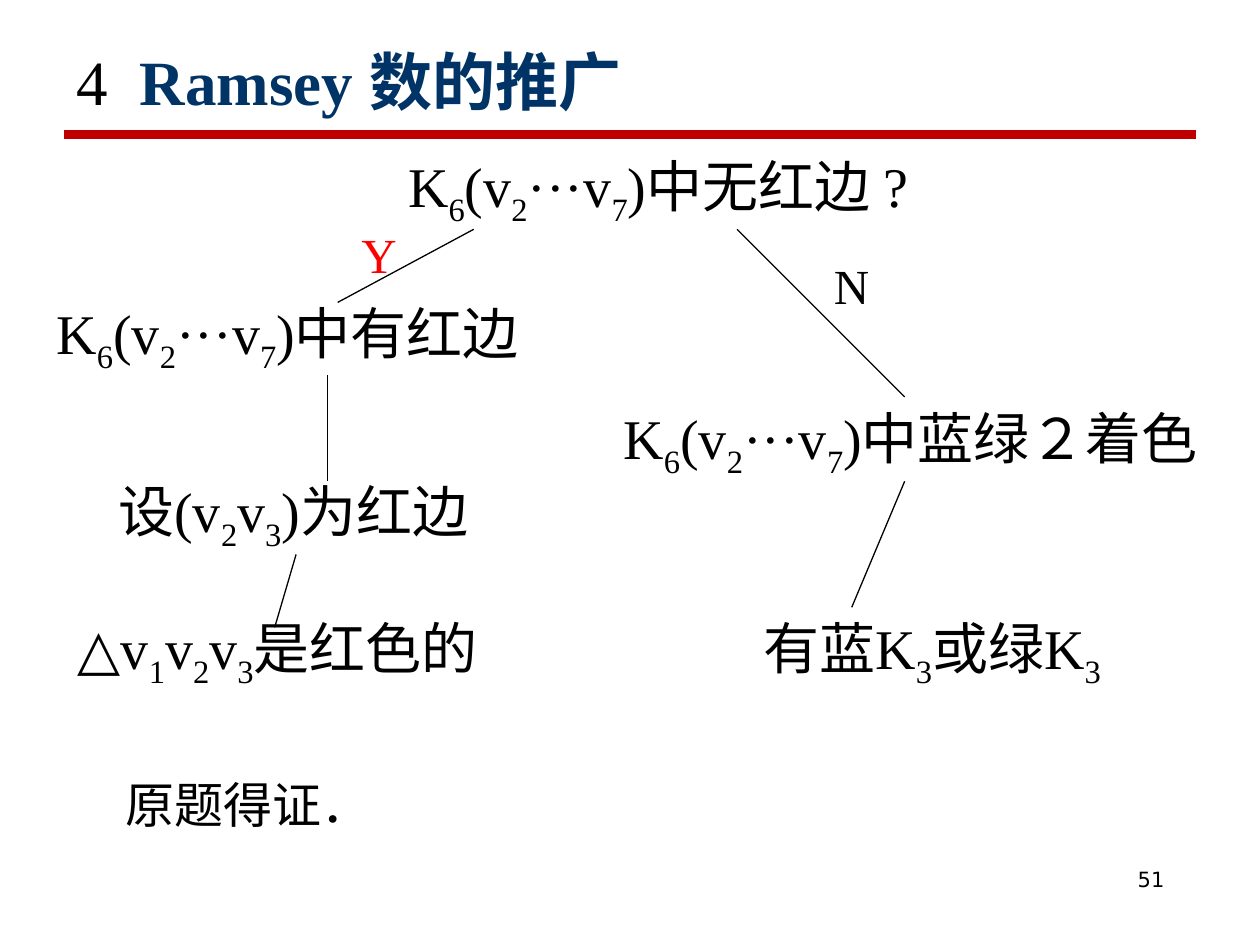
from lxml.etree import SubElement
from pptx import Presentation
from pptx.dml.color import RGBColor
from pptx.enum.shapes import MSO_CONNECTOR
from pptx.enum.text import MSO_ANCHOR, MSO_AUTO_SIZE, PP_ALIGN
from pptx.oxml.ns import qn
from pptx.util import Inches, Pt

BLACK = RGBColor(0x00, 0x00, 0x00)
RED = RGBColor(0xFF, 0x00, 0x00)
CRIMSON = RGBColor(0xC0, 0x00, 0x00)
NAVY = RGBColor(0x00, 0x33, 0x66)
SERIF, SANS = "Times New Roman", "DejaVu Sans"
STEP_SIZE, NOTE_SIZE = 32, 28
HEIGHTS = {STEP_SIZE: 0.71, NOTE_SIZE: 0.57}

# An underscore lowers the digit after it.
K6 = "K_6(v_2···v_7)"
TITLE = [("4  ", BLACK, False), ("Ramsey 数的推广", NAVY, True)]
# text, left, top, width, size, colour
LABELS = [
    (K6 + "中无红边 ?", 3.14, 1.15, 4.38, STEP_SIZE, BLACK),
    (K6 + "中有红边", 0.35, 2.32, 3.98, STEP_SIZE, BLACK),
    (K6 + "中蓝绿２着色", 4.85, 3.15, 4.87, STEP_SIZE, BLACK),
    ("有蓝K_3或绿K_3", 5.96, 4.82, 3.2, STEP_SIZE, BLACK),
    ("设(v_2v_3)为红边", 0.84, 3.73, 3.19, STEP_SIZE, BLACK),
    ("△v_1v_2v_3是红色的", 0.52, 4.82, 3.83, STEP_SIZE, BLACK),
    ("原题得证．", 0.9, 6.1, 2.14, NOTE_SIZE, BLACK),
    ("N", 6.52, 1.98, 0.48, NOTE_SIZE, BLACK),
    ("Y", 2.77, 1.73, 0.48, NOTE_SIZE, RED),
]
BRANCHES = [
    (3.76, 1.82, 2.68, 2.4),
    (2.6, 2.98, 2.6, 3.82),
    (2.35, 4.4, 2.18, 4.98),
    (5.85, 1.82, 7.18, 3.15),
    (7.18, 3.82, 6.76, 4.82),
]


def add_run(paragraph, text, size, color, face=SERIF, bold=False, lowered=False):
    """Append one formatted run, lowered if it is a subscript."""
    run = paragraph.add_run()
    run.text = text
    run.font.name, run.font.size, run.font.bold = face, Pt(size), bold
    run.font.color.rgb = color
    if lowered:
        run._r.get_or_add_rPr().set("baseline", "-25000")


def add_formula(paragraph, text, size, color):
    """Write text whose underscores mark one-digit subscripts."""
    first, *rest = text.split("_")
    add_run(paragraph, first, size, color)
    for part in rest:
        add_run(paragraph, part[0], size, color, lowered=True)
        if part[1:]:
            add_run(paragraph, part[1:], size, color)


def add_label(slide, text, left, top, width, size, color):
    """Add a one-line label of the proof tree."""
    box = slide.shapes.add_textbox(*map(Inches, (left, top, width, HEIGHTS[size])))
    box.text_frame.word_wrap = False
    box.text_frame.auto_size = MSO_AUTO_SIZE.SHAPE_TO_FIT_TEXT
    add_formula(box.text_frame.paragraphs[0], text, size, color)


def add_line(slide, ends, color, weight):
    """Draw a straight line without a shadow."""
    line = slide.shapes.add_connector(MSO_CONNECTOR.STRAIGHT, *map(Inches, ends))
    line.line.color.rgb, line.line.width = color, Pt(weight)
    SubElement(line._element.spPr, qn("a:effectLst"))


def fill_title(title):
    """Place the title and write its two parts."""
    title.left, title.top, title.width, title.height = map(
        Inches, (0.51, 0.28, 8.58, 0.71))
    frame = title.text_frame
    frame.auto_size = MSO_AUTO_SIZE.NONE
    frame.vertical_anchor = MSO_ANCHOR.BOTTOM
    heading = frame.paragraphs[0]
    heading.alignment = PP_ALIGN.LEFT
    for text, color, bold in TITLE:
        add_run(heading, text, 36, color, bold=bold)


def add_page_number(slide, number):
    """Write the page number at the lower right."""
    box = slide.shapes.add_textbox(*map(Inches, (7.17, 6.83, 2.17, 0.52)))
    box.text_frame.word_wrap = True
    paragraph = box.text_frame.paragraphs[0]
    paragraph.alignment = PP_ALIGN.RIGHT
    add_run(paragraph, number, 12, BLACK, face=SANS)


deck = Presentation()
deck.slide_width, deck.slide_height = Inches(10), Inches(7.5)
proof = deck.slides.add_slide(deck.slide_layouts[5])
fill_title(proof.shapes.title)
add_line(proof, (0.51, 1.07, 9.49, 1.07), CRIMSON, 5)
add_page_number(proof, "51")
for branch in BRANCHES:
    add_line(proof, branch, BLACK, 0.74)
for label in LABELS:
    add_label(proof, *label)
deck.save("out.pptx")
